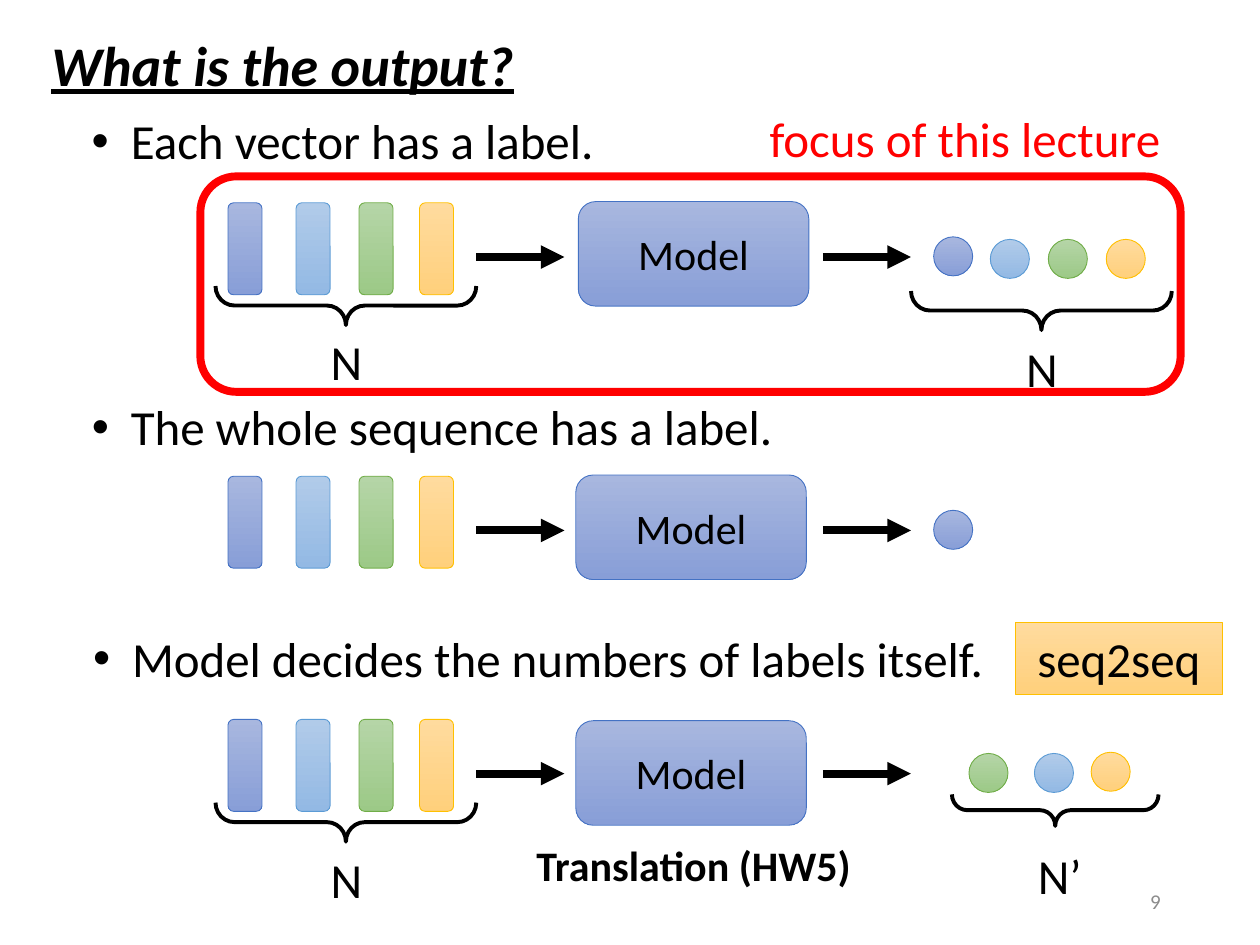
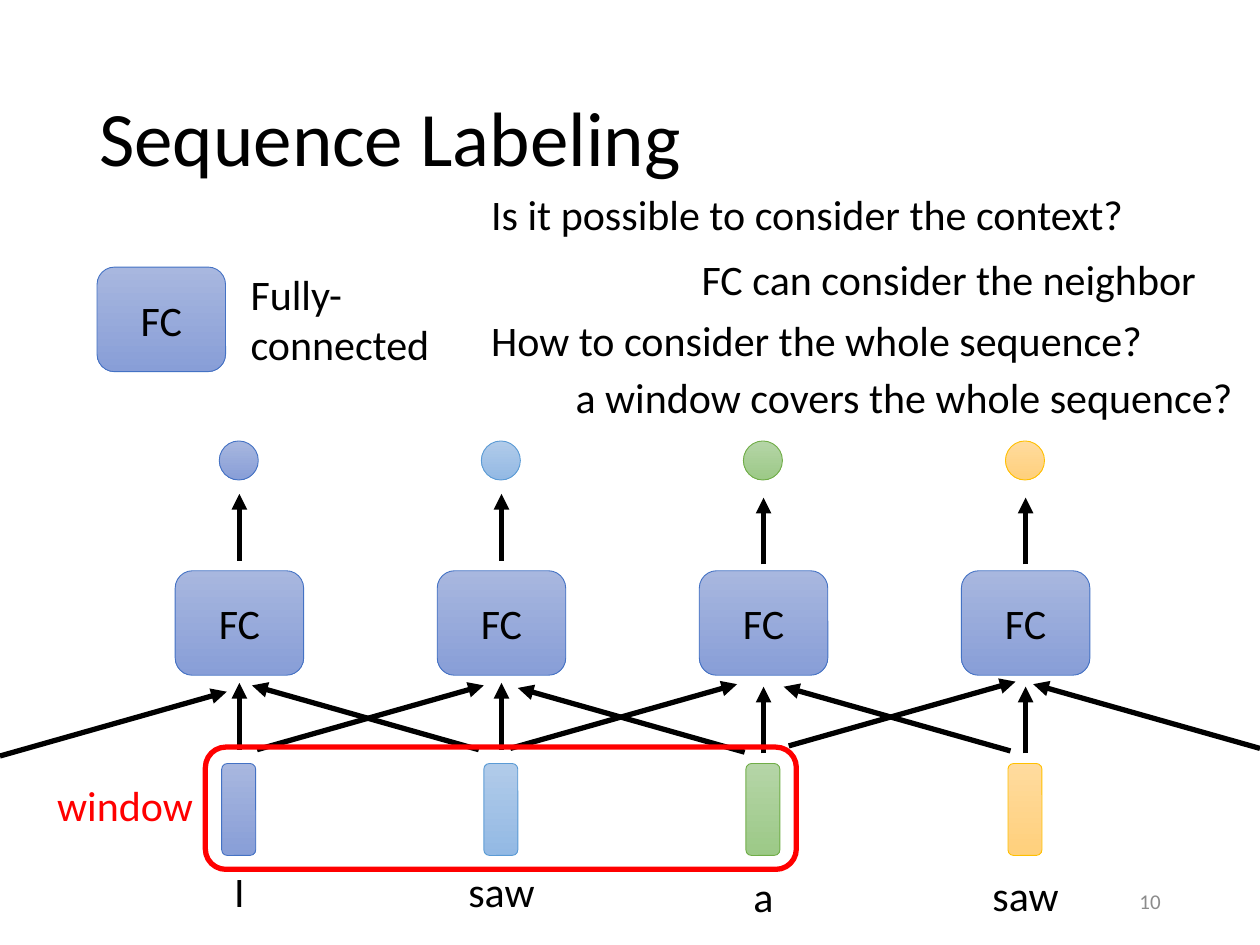
from lxml import etree
from pptx import Presentation
from pptx import util as u
from pptx.dml.color import RGBColor
from pptx.enum import shapes, text
from pptx.oxml.ns import qn
from pptx.util import Inches

BLACK = RGBColor(0x00, 0x00, 0x00)
RED = RGBColor(0xFF, 0x00, 0x00)
GREY = RGBColor(0x8C, 0x8C, 0x8C)

# Each tone: gradient top, gradient bottom, outline
BLUE = (RGBColor(0xA8, 0xB7, 0xDF), RGBColor(0x88, 0x9E, 0xD7), RGBColor(0x44, 0x72, 0xC4))
SKY = (RGBColor(0xB1, 0xCB, 0xE9), RGBColor(0x93, 0xB9, 0xE4), RGBColor(0x5B, 0x9B, 0xD5))
GREEN = (RGBColor(0xB5, 0xD5, 0xA7), RGBColor(0x9C, 0xC9, 0x87), RGBColor(0x70, 0xAD, 0x47))
GOLD = (RGBColor(0xFF, 0xDB, 0x9E), RGBColor(0xFF, 0xD0, 0x7C), RGBColor(0xFF, 0xC0, 0x00))
TONES = (BLUE, SKY, GREEN, GOLD)

SHAPE = shapes.MSO_SHAPE
LEFT, CENTER, RIGHT = text.PP_ALIGN.LEFT, text.PP_ALIGN.CENTER, text.PP_ALIGN.RIGHT
TOP, MIDDLE = text.MSO_ANCHOR.TOP, text.MSO_ANCHOR.MIDDLE


def write(sp, words, size=24, color=BLACK, align=LEFT, anchor=TOP, bold=False,
          italic=False, underline=False, bullet=False, spacing=None):
    tf = sp.text_frame
    tf.word_wrap = True
    tf.vertical_anchor = anchor
    p = tf.paragraphs[0]
    p.alignment = align
    if spacing:
        p.line_spacing = spacing
    r = p.add_run()
    r.text = words
    f = r.font
    f.name, f.size, f.color.rgb = "Calibri", u.Pt(size), color
    f.bold, f.italic, f.underline = bold, italic, underline
    if bullet:
        pPr = p._p.get_or_add_pPr()
        pPr.set("marL", str(Inches(0.31)))
        pPr.set("indent", str(-Inches(0.31)))
        etree.SubElement(pPr, qn("a:buFont")).set("typeface", "Arial")
        etree.SubElement(pPr, qn("a:buChar")).set("char", "•")


class Deck:
    """Holds the presentation, the shared style and the current slide."""

    def __init__(self):
        self.prs = Presentation()
        self.prs.slide_width, self.prs.slide_height = Inches(10), Inches(7.5)
        self.s = None

    def new_slide(self, number):
        self.s = self.prs.slides.add_slide(self.prs.slide_layouts[6])
        self.label(str(number), 7.06, 6.95, 2.25, 0.4, size=12, color=GREY,
                   align=RIGHT, anchor=MIDDLE)

    def label(self, words, x, y, w, h=0.5, **fmt):
        sp = self.s.shapes.add_textbox(Inches(x), Inches(y), Inches(w), Inches(h))
        write(sp, words, **fmt)

    def outline(self, kind, x, y, w, h, color, weight):
        sp = self.s.shapes.add_shape(kind, Inches(x), Inches(y), Inches(w), Inches(h))
        sp.shadow.inherit = False
        sp.fill.background()
        sp.line.color.rgb = color
        sp.line.width = u.Pt(weight)
        return sp

    def block(self, kind, x, y, w, h, tone, words=None, **fmt):
        top, bottom, edge = tone
        sp = self.outline(kind, x, y, w, h, edge, 0.5)
        sp.fill.gradient()
        sp.fill.gradient_angle = 270
        for stop, color, position in zip(sp.fill.gradient_stops, (top, bottom), (0, 1)):
            stop.color.rgb = color
            stop.position = position
        if words:
            write(sp, words, align=CENTER, anchor=MIDDLE, **fmt)

    def vector(self, x, y, tone):
        self.block(SHAPE.ROUNDED_RECTANGLE, x, y, 0.27, 0.73, tone)

    def dot(self, x, y, tone):
        self.block(SHAPE.OVAL, x, y, 0.31, 0.31, tone)

    def box(self, words, x, y, w):
        self.block(SHAPE.ROUNDED_RECTANGLE, x, y, w, 0.83, BLUE, words)

    def brace(self, x, y, h, w=0.31):
        sp = self.outline(SHAPE.RIGHT_BRACE, x, y, w, h, BLACK, 2.25)
        sp.adjustments[0] = 0.486
        sp.rotation = 90

    def arrow(self, x1, y1, x2, y2, weight=3):
        c = self.s.shapes.add_connector(shapes.MSO_CONNECTOR.STRAIGHT, Inches(x1),
                                        Inches(y1), Inches(x2), Inches(y2))
        c.line.color.rgb = BLACK
        c.line.width = u.Pt(weight)
        etree.SubElement(c.line._get_or_add_ln(), qn("a:tailEnd")).set("type", "triangle")
        etree.SubElement(c._element.spPr, qn("a:effectLst"))

    def model_row(self, vector_y, arrow_y, model_x, model_y, dots):
        for x, tone in zip((1.81, 2.35, 2.85, 3.33), TONES):
            self.vector(x, vector_y, tone)
        for x in (3.78, 6.53):
            self.arrow(x, arrow_y, x + 0.7, arrow_y, weight=4.5)
        self.box("Model", model_x, model_y, 1.83)
        for x, y, tone in dots:
            self.dot(x, y, tone)


def output_slide(d):
    d.new_slide(9)
    d.label("What is the output?", 0.31, 0.19, 5, 0.64, size=32, bold=True,
            italic=True, underline=True)

    # The three cases
    for words, x, y, w in (("Each vector has a label.", 0.63, 0.83, 5),
                           ("The whole sequence has a label.", 0.63, 3.1, 6.92),
                           ("Model decides the numbers of labels itself.", 0.64, 4.94, 9.23)):
        d.label(words, x, y, w, 0.57, size=28, bullet=True)
    d.model_row(1.61, 2.04, 4.59, 1.6,
                zip((7.41, 7.86, 8.32, 8.78), (1.88, 1.9, 1.9, 1.9), TONES))
    d.model_row(3.78, 4.21, 4.57, 3.77, [(7.41, 4.05, BLUE)])
    d.model_row(5.71, 6.14, 4.57, 5.72,
                [(8.21, 5.98, SKY), (7.69, 5.98, GREEN), (8.66, 5.97, GOLD)])

    # Braces with their counts
    d.brace(2.59, 1.39, 2.07)
    d.brace(8.11, 1.43, 2.07)
    d.brace(2.59, 5.49, 2.07)
    d.brace(8.25, 5.61, 1.64, w=0.25)
    for words, x, y in (("N", 2.28, 2.58), ("N", 7.8, 2.64),
                        ("N", 2.28, 6.69), ("N’", 7.94, 6.66)):
        d.label(words, x, y, 0.94, 0.57, size=28, align=CENTER)

    # Remarks and focus frame
    d.label("Translation (HW5)", 3.91, 6.61, 3.19, bold=True, align=CENTER)
    d.block(SHAPE.RECTANGLE, 8.06, 4.94, 1.64, 0.57, GOLD, "seq2seq", size=28)
    d.outline(SHAPE.ROUNDED_RECTANGLE, 1.59, 1.4, 7.78, 1.71, RED, 4.5)
    d.label("focus of this lecture", 6.01, 0.81, 3.54, 0.57, size=28, color=RED)


def labeling_slide(d):
    d.new_slide(10)
    d.label("Sequence Labeling", 0.69, 0.4, 8.62, 1.45, size=44, anchor=MIDDLE, spacing=0.9)

    # One column per word: vector, FC box, label
    words = ("I", "saw", "a", "saw")
    word_tops = (6.82, 6.82, 6.86, 6.85)
    arrow_drops = (0, 0, 0.03, 0.03)
    for i, (word, word_y, drop, tone) in enumerate(zip(words, word_tops, arrow_drops, TONES)):
        mid = 1.9 + 2.08 * i
        d.vector(mid - 0.14, 6.06, tone)
        d.box("FC", mid - 0.51, 4.53, 1.02)
        d.dot(mid - 0.16, 3.5, tone)
        for y in (5.95, 4.45):
            d.arrow(mid, y + drop, mid, y + drop - 0.53)
        d.label(word, mid - 0.4, word_y, 0.8, align=CENTER)

    # Arrows from the neighbours on the left, then on the right
    from_left = ((0, 6), (2.04, 5.95), (4.05, 5.94), (6.26, 5.92))
    from_right = ((3.8, 5.95), (5.91, 5.97), (8.02, 5.96), (10, 5.94))
    for starts, run in ((from_left, 1.8), (from_right, -1.8)):
        for x, y in starts:
            d.arrow(x, y, x + run, y - 0.51)

    # Legend
    d.box("FC", 0.77, 2.12, 1.02)
    d.label("Fully-connected", 1.89, 2.08, 1.8, 0.91)

    # Questions and answers
    for line, x, y, w in (("Is it possible to consider the context?", 3.8, 1.45, 5.73),
                          ("FC can consider the neighbor", 5.47, 1.96, 4.3),
                          ("How to consider the whole sequence?", 3.8, 2.45, 6.04),
                          ("a window covers the whole sequence?", 4.47, 2.9, 5.53)):
        d.label(line, x, y, w)

    # Window frame
    d.outline(SHAPE.ROUNDED_RECTANGLE, 1.63, 5.93, 4.69, 0.97, RED, 3)
    d.label("window", 0.16, 6.14, 1.47, color=RED, align=RIGHT)


def main():
    d = Deck()
    output_slide(d)
    labeling_slide(d)
    d.prs.save("out.pptx")


if __name__ == "__main__":
    main()
